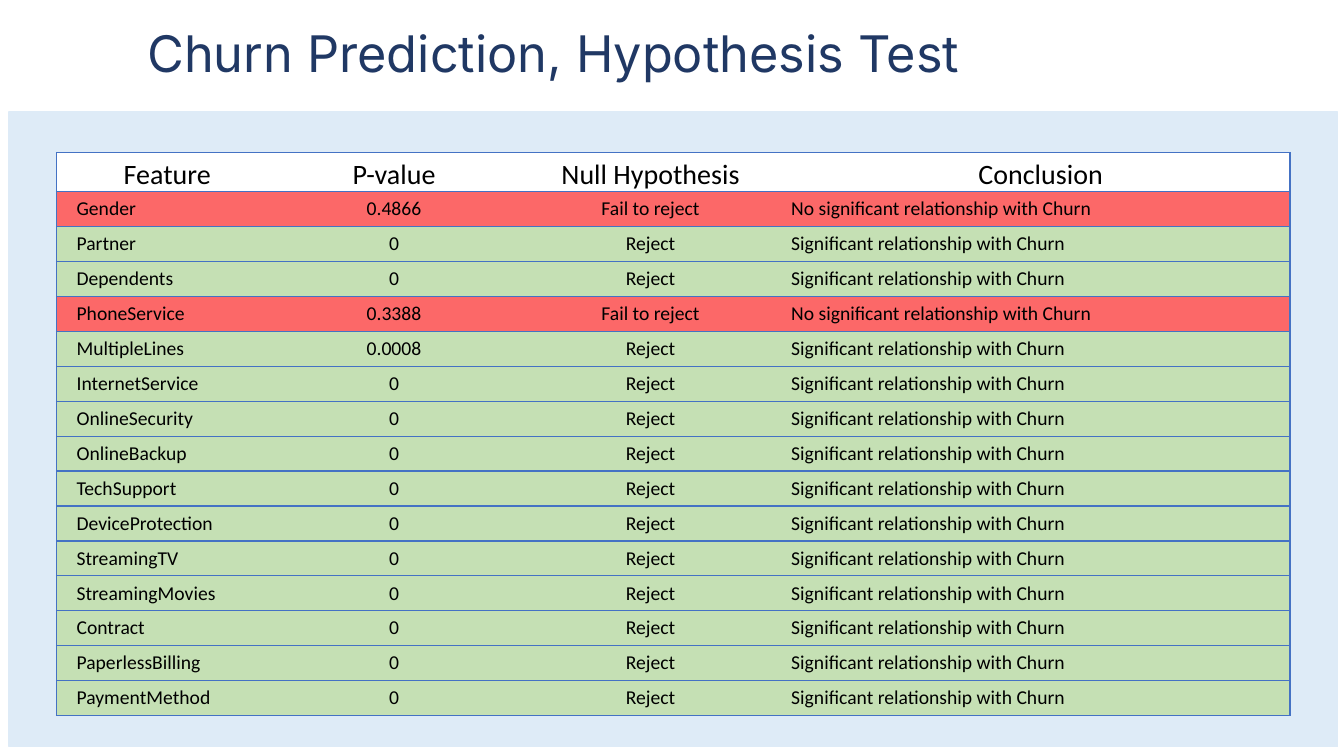
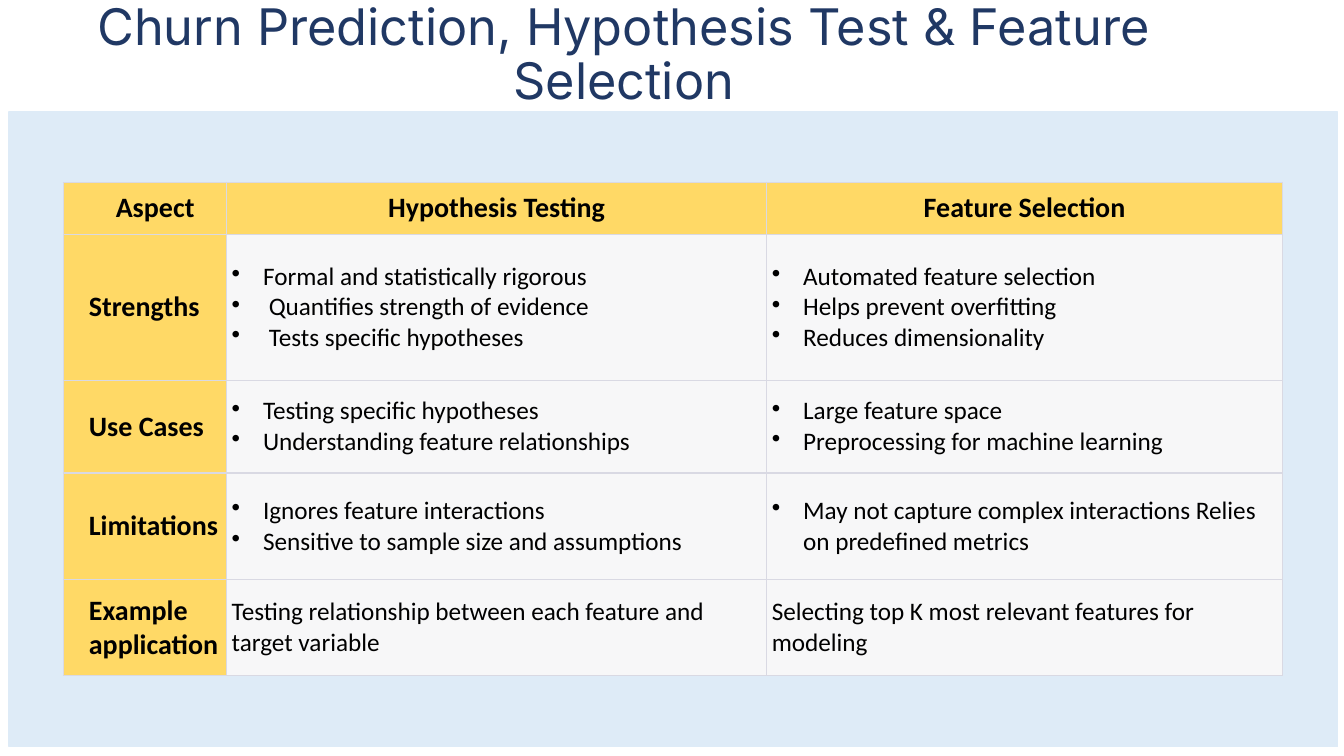
from lxml import etree
from pptx import Presentation
from pptx.dml.color import RGBColor
from pptx.enum import shapes, text
from pptx.oxml import ns
from pptx.util import Cm, Pt

NAVY, PALE_BLUE, BLACK, WHITE = "203864", "DEEBF7", "000000", "FFFFFF"
RED, GREEN, BLUE = "FC6868", "C5E0B4", "4472C4"
YELLOW, LIGHT_GREY, BORDER_GREY = "FFD966", "F7F7F8", "D9D9E3"
NO_TABLE_STYLE = "{2D5ABB26-0587-4C30-8999-92F81FD0307C}"
CENTER, LEFT = text.PP_ALIGN.CENTER, text.PP_ALIGN.LEFT
MIDDLE, BOTTOM = text.MSO_ANCHOR.MIDDLE, text.MSO_ANCHOR.BOTTOM


def rgb(color):
    return RGBColor.from_string(color)


def fill_cell(cell, lines, size, fill, border, sides, align=LEFT,
              bold=False, bulleted=False):
    """Write the lines into a table cell and set its fill and borders."""
    cell.text = "\n".join(lines)
    for paragraph in cell.text_frame.paragraphs:
        if bulleted:
            properties = paragraph._p.get_or_add_pPr()
            properties.set("marL", str(Cm(0.79)))
            properties.set("indent", str(-Cm(0.79)))
            etree.SubElement(properties, ns.qn("a:buChar"), char="•")
        paragraph.alignment = align
        paragraph.font.name = "Calibri"
        paragraph.font.size = Pt(size)
        paragraph.font.bold = bold
        paragraph.font.color.rgb = rgb(BLACK)
    cell.fill.solid()
    cell.fill.fore_color.rgb = rgb(fill)
    cell_properties = cell._tc.get_or_add_tcPr()
    for position, side in enumerate(sides):
        line = etree.Element(ns.qn(f"a:ln{side}"), w=str(Pt(1)))
        solid = etree.SubElement(line, ns.qn("a:solidFill"))
        etree.SubElement(solid, ns.qn("a:srgbClr"), val=border)
        cell_properties.insert(position, line)


prs = Presentation()
prs.slide_width, prs.slide_height = Cm(33.87), Cm(19.05)

# Title, title left and width, table left and top, column widths, row heights
layouts = [
    ("Churn Prediction, Hypothesis Test", 3.4, 21.1, 1.42, 3.84,
     [5.59, 5.84, 7.09, 12.57], [0.99] + [0.88] * 15),
    ("Churn Prediction, Hypothesis Test & Feature Selection", -0.08, 31.6, 1.6, 4.6,
     [4.11, 13.61, 13], [1.3, 3.68, 2.34, 2.69, 2.41]),
]
tables = []
for heading, title_left, title_width, left, top, widths, heights in layouts:
    slide = prs.slides.add_slide(prs.slide_layouts[5])

    title = slide.shapes.title
    title.left, title.top = Cm(title_left), Cm(0)
    title.width, title.height = Cm(title_width), Cm(2.82)
    frame = title.text_frame
    frame.text = heading
    frame.word_wrap = True
    frame.auto_size = text.MSO_AUTO_SIZE.NONE
    frame.vertical_anchor = MIDDLE
    frame.margin_left = frame.margin_right = frame.margin_top = frame.margin_bottom = 0
    paragraph = frame.paragraphs[0]
    paragraph.alignment = CENTER
    paragraph.line_spacing = 0.9
    paragraph.font.name = "Inter"
    paragraph.font.size = Pt(36)
    paragraph.font.color.rgb = rgb(NAVY)

    band = slide.shapes.add_shape(shapes.MSO_SHAPE.RECTANGLE,
                                  Cm(0.23), Cm(2.82), Cm(33.48), Cm(16))
    band.shadow.inherit = False
    band.fill.solid()
    band.fill.fore_color.rgb = rgb(PALE_BLUE)
    band.line.color.rgb = rgb(PALE_BLUE)
    band.line.width = Pt(1)

    graphic = slide.shapes.add_table(len(heights), len(widths), Cm(left), Cm(top),
                                     Cm(sum(widths)), Cm(sum(heights)))
    table = graphic.table
    table.horz_banding = False
    table._tbl.tblPr.find(ns.qn("a:tableStyleId")).text = NO_TABLE_STYLE
    for column, width in zip(table.columns, widths):
        column.width = Cm(width)
    for row, height in zip(table.rows, heights):
        row.height = Cm(height)
    tables.append(table)

test_results, comparison = tables

# Hypothesis test results: a p-value above 0.05 fails to reject
p_values = {
    "Gender": "0.4866", "Partner": "0", "Dependents": "0",
    "PhoneService": "0.3388", "MultipleLines": "0.0008", "InternetService": "0",
    "OnlineSecurity": "0", "OnlineBackup": "0", "TechSupport": "0",
    "DeviceProtection": "0", "StreamingTV": "0", "StreamingMovies": "0",
    "Contract": "0", "PaperlessBilling": "0", "PaymentMethod": "0",
}
result_rows = [(WHITE, ["Feature", "P-value", "Null Hypothesis", "Conclusion"])]
for feature, p_value in p_values.items():
    if float(p_value) > 0.05:
        result_rows.append((RED, [feature, p_value, "Fail to reject",
                                  "No significant relationship with Churn"]))
    else:
        result_rows.append((GREEN, [feature, p_value, "Reject",
                                    "Significant relationship with Churn"]))

for r, (fill, values) in enumerate(result_rows):
    is_header = r == 0
    for c, value in enumerate(values):
        cell = test_results.cell(r, c)
        cell.margin_left = Cm(0.51) if c == 0 and not is_header else 0
        cell.margin_right = cell.margin_top = cell.margin_bottom = 0
        cell.vertical_anchor = BOTTOM if is_header else MIDDLE
        sides = {0: "LTB", 3: "RTB"}.get(c, "TB")
        fill_cell(cell, [value], 20 if is_header else 14, fill, BLUE, sides,
                  CENTER if is_header or c in (1, 2) else LEFT)

# Hypothesis testing compared with feature selection
comparison_rows = [
    [["Aspect"], ["Hypothesis Testing"], ["Feature Selection"]],
    [["Strengths"],
     ["Formal and statistically rigorous", " Quantifies strength of evidence",
      " Tests specific hypotheses"],
     ["Automated feature selection", "Helps prevent overfitting",
      "Reduces dimensionality"]],
    [["Use Cases"],
     ["Testing specific hypotheses", "Understanding feature relationships"],
     ["Large feature space", "Preprocessing for machine learning"]],
    [["Limitations"],
     ["Ignores feature interactions", "Sensitive to sample size and assumptions"],
     ["May not capture complex interactions Relies on predefined metrics"]],
    [["Example application"],
     ["Testing relationship between each feature and target variable"],
     ["Selecting top K most relevant features for modeling"]],
]
example_row = len(comparison_rows) - 1
for r, values in enumerate(comparison_rows):
    for c, lines in enumerate(values):
        is_label = r == 0 or c == 0
        cell = comparison.cell(r, c)
        cell.margin_left = Cm(0.64 if c == 0 else 0.13)
        cell.margin_right = Cm(0.13)
        cell.margin_top = cell.margin_bottom = Cm(0.08)
        cell.vertical_anchor = MIDDLE
        fill_cell(cell, lines, 20 if is_label else 18,
                  YELLOW if is_label else LIGHT_GREY, BORDER_GREY, "LRTB",
                  CENTER if r == 0 else LEFT, bold=is_label,
                  bulleted=not is_label and r != example_row)

prs.save("out.pptx")
